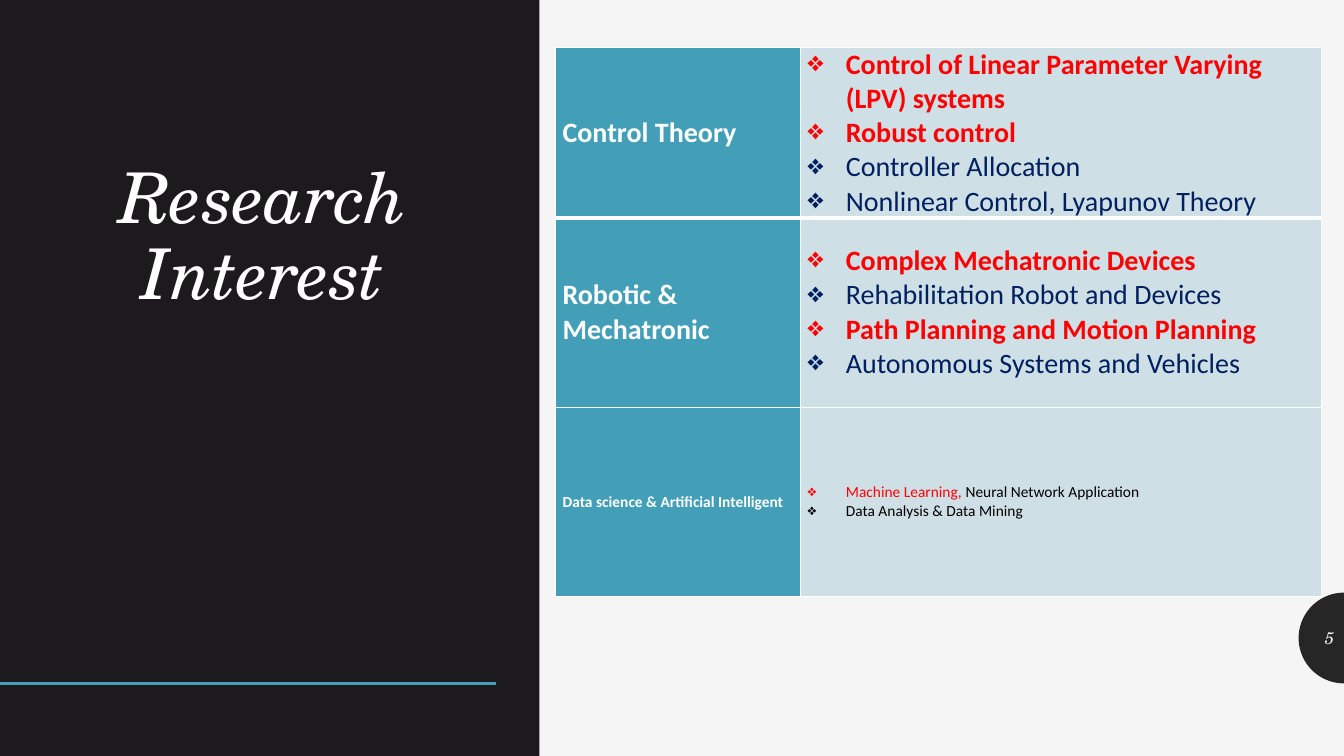
import math

from lxml import etree
from pptx import Presentation
from pptx.dml.color import RGBColor
from pptx.enum.shapes import MSO_CONNECTOR, MSO_SHAPE
from pptx.enum.text import MSO_ANCHOR, PP_ALIGN
from pptx.oxml.ns import qn
from pptx.util import Inches, Pt

STRAIGHT = MSO_CONNECTOR.STRAIGHT
RECTANGLE = MSO_SHAPE.RECTANGLE
MIDDLE, BOTTOM = MSO_ANCHOR.MIDDLE, MSO_ANCHOR.BOTTOM
CENTER, RIGHT = PP_ALIGN.CENTER, PP_ALIGN.RIGHT

WHITE, PAPER, INK, CHARCOAL = "FFFFFF", "F5F5F5", "1D1A1D", "262626"
TEAL, PALE = "439EB7", "CFDFE6"
RED, NAVY, BLACK = "FF0000", "002060", "000000"
SLIDE_WIDTH, SLIDE_HEIGHT = 13.33, 7.5

INTERESTS = [
    ("Control Theory", 20, [
        [("Control of Linear Parameter Varying (LPV) systems", RED, True)],
        [("Robust control", RED, True)],
        [("Controller Allocation", NAVY, False)],
        [("Nonlinear Control, Lyapunov Theory", NAVY, False)],
    ]),
    ("Robotic & Mechatronic", 20, [
        [("Complex Mechatronic Devices", RED, True)],
        [("Rehabilitation Robot and Devices", NAVY, False)],
        [("Path Planning and Motion Planning", RED, True)],
        [("Autonomous Systems and Vehicles", NAVY, False)],
    ]),
    ("Data science & Artificial Intelligent", 11, [
        [("Machine Learning, ", RED, False),
         ("Neural Network Application", BLACK, False)],
        [("Data Analysis & Data Mining", BLACK, False)],
    ]),
]


def color(value):
    return RGBColor.from_string(value)


class SlideBuilder:
    body_font = "Calibri"
    display_font = "TeX Gyre Schola"

    def __init__(self, slide):
        self.slide = slide
        slide.background.fill.solid()
        slide.background.fill.fore_color.rgb = color(PAPER)

    def paint(self, shape, fill):
        shape.shadow.inherit = False
        shape.fill.solid()
        shape.fill.fore_color.rgb = color(fill)
        shape.line.fill.background()

    def panel(self, left, top, width, height, fill):
        shape = self.slide.shapes.add_shape(
            RECTANGLE, Inches(left), Inches(top), Inches(width), Inches(height))
        self.paint(shape, fill)

    def half_disc(self, center_x, center_y, radius, fill, steps=48):
        angles = [math.pi * (0.5 + step / steps) for step in range(steps + 1)]
        points = [(Inches(center_x + radius * math.cos(angle)),
                   Inches(center_y - radius * math.sin(angle))) for angle in angles]
        builder = self.slide.shapes.build_freeform(*points[0])
        builder.add_line_segments(points[1:], close=True)
        self.paint(builder.convert_to_shape(), fill)

    def line(self, start, end, stroke, width):
        connector = self.slide.shapes.add_connector(
            STRAIGHT, *[Inches(value) for value in (*start, *end)])
        connector.line.color.rgb = color(stroke)
        connector.line.width = Pt(width)
        etree.SubElement(connector._element.spPr, qn("a:effectLst"))

    def run(self, paragraph, text, size, fill, font, bold=False, italic=False):
        run = paragraph.add_run()
        run.text = text
        run.font.name = font
        run.font.size = Pt(size)
        run.font.bold = bold
        run.font.italic = italic
        run.font.color.rgb = color(fill)

    def display_text(self, left, top, width, height, text, size, fill,
                     alignment, anchor, spacing=1.0):
        box = self.slide.shapes.add_textbox(
            Inches(left), Inches(top), Inches(width), Inches(height))
        frame = box.text_frame
        frame.word_wrap = True
        frame.vertical_anchor = anchor
        paragraph = frame.paragraphs[0]
        paragraph.alignment = alignment
        paragraph.line_spacing = spacing
        self.run(paragraph, text, size, fill, self.display_font, italic=True)

    def bullet(self, paragraph, indent):
        properties = paragraph._p.get_or_add_pPr()
        properties.set("marL", str(Inches(indent)))
        properties.set("indent", str(-Inches(indent)))
        etree.SubElement(properties, qn("a:buChar"), char="❖")

    def cell(self, cell, fill, paragraphs, size, bulleted, top_width, bottom_width):
        properties = cell._tc.get_or_add_tcPr()
        borders = {"a:lnL": 1, "a:lnR": 1, "a:lnT": top_width, "a:lnB": bottom_width}
        for tag, width in borders.items():
            border = etree.SubElement(properties, qn(tag), w=str(Pt(width)))
            solid = etree.SubElement(border, qn("a:solidFill"))
            etree.SubElement(solid, qn("a:srgbClr"), val=WHITE)
        cell.fill.solid()
        cell.fill.fore_color.rgb = color(fill)
        cell.vertical_anchor = MIDDLE
        cell.margin_left = cell.margin_right = Inches(0.07)
        cell.margin_top = cell.margin_bottom = 0
        frame = cell.text_frame
        for index, runs in enumerate(paragraphs):
            paragraph = frame.add_paragraph() if index else frame.paragraphs[0]
            if bulleted:
                self.bullet(paragraph, 0.38)
            for text, fill_color, bold in runs:
                self.run(paragraph, text, size, fill_color, self.body_font, bold)

    def interest_table(self, left, top, column_widths, row_heights, interests):
        table = self.slide.shapes.add_table(
            len(interests), len(column_widths), Inches(left), Inches(top),
            Inches(sum(column_widths)), Inches(sum(row_heights))).table
        table.first_row = table.horz_banding = False
        for column, width in zip(table.columns, column_widths):
            column.width = Inches(width)
        for index, (area, size, topics) in enumerate(interests):
            table.rows[index].height = Inches(row_heights[index])
            widths = (3 if index == 1 else 1, 3 if index == 0 else 1)
            self.cell(table.cell(index, 0), TEAL, [[(area, WHITE, True)]],
                      size, False, *widths)
            self.cell(table.cell(index, 1), PALE, topics, size, True, *widths)


def main():
    presentation = Presentation()
    presentation.slide_width = Inches(SLIDE_WIDTH)
    presentation.slide_height = Inches(SLIDE_HEIGHT)
    builder = SlideBuilder(presentation.slides.add_slide(presentation.slide_layouts[6]))
    builder.half_disc(SLIDE_WIDTH, 6.33, 0.45, CHARCOAL)
    builder.panel(0, 0, 5.35, SLIDE_HEIGHT, INK)
    builder.line((0, 6.78), (4.92, 6.78), TEAL, 2)
    builder.display_text(-0.09, 0.61, 5.4, 2.56, "Research Interest", 50, WHITE,
                         CENTER, BOTTOM, 0.9)
    builder.display_text(12.88, 6.13, 0.45, 0.4, "5", 12, PAPER, RIGHT, MIDDLE)
    builder.interest_table(5.51, 0.47, (2.43, 5.17), (1.69, 1.88, 1.88), INTERESTS)
    presentation.save("out.pptx")


if __name__ == "__main__":
    main()
